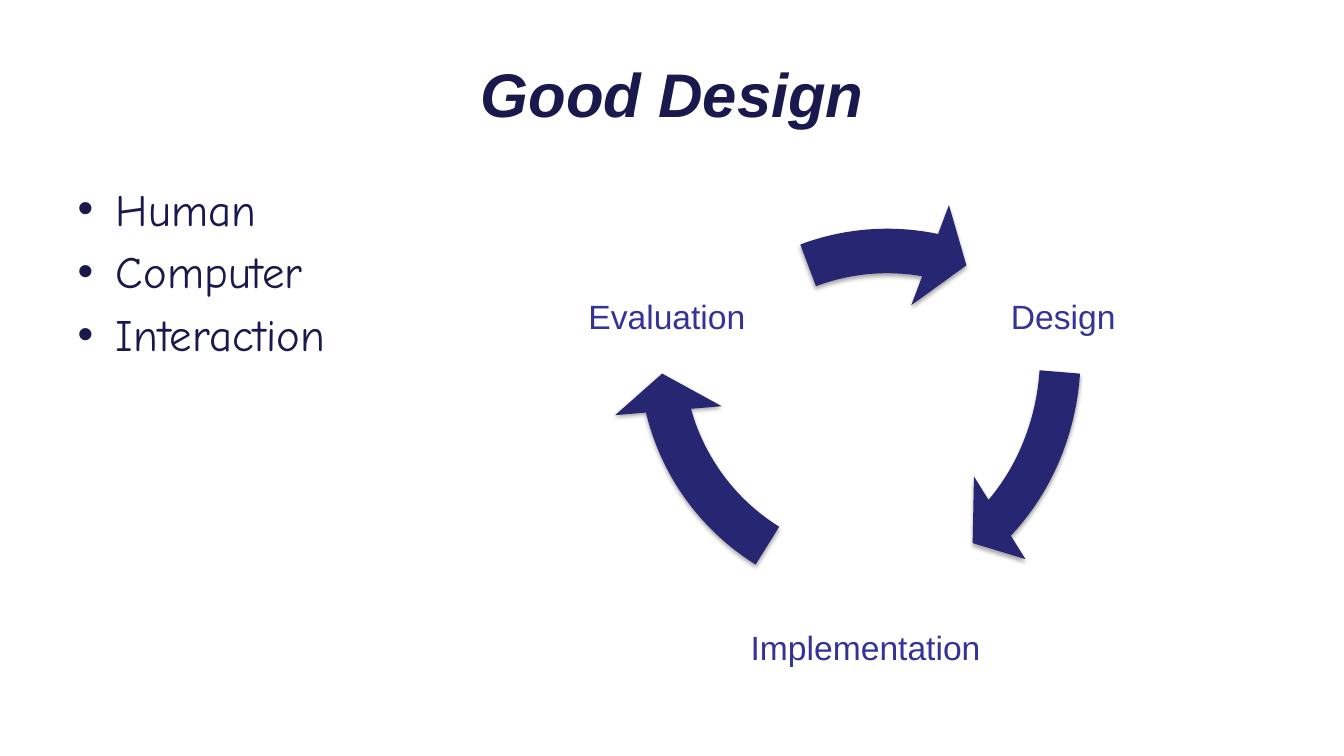
from dataclasses import dataclass

from lxml import etree
from pptx import Presentation
from pptx import util as u
from pptx.dml.color import RGBColor
from pptx.enum import shapes, text
from pptx.oxml import ns

PX = 9144  # EMU per px, 100 px to the inch


@dataclass(frozen=True)
class Theme:
    ink: str = "19194D"
    label: str = "333399"
    arrow: str = "262673"
    shadow: str = "000000"
    sans: str = "Arial"
    hand: str = "Comic Neue"
    title_size: int = 44
    list_size: int = 32
    label_size: int = 24


@dataclass(frozen=True)
class Box:
    left: int
    top: int
    width: int
    height: int

    def emu(self) -> list[u.Emu]:
        sides = (self.left, self.top, self.width, self.height)
        return [u.Emu(side * PX) for side in sides]


@dataclass(frozen=True)
class Step:
    """A stage of the cycle and the arrow drawn with it, angles in degrees."""
    name: str
    label_box: Box
    arrow_box: Box
    start: float
    end: float


THEME = Theme()
TITLE_BOX = Box(67, 30, 1200, 125)
LIST_BOX = Box(67, 175, 1200, 495)
INDENT = 38
LABEL_INSET = 3
BAND = 0.08      # arrow thickness, share of the box
HEAD = 0.096     # half width of the arrowhead, share of the box
HEAD_ANGLE = 9.6
TOPICS = ("Human", "Computer", "Interaction")
STEPS = (
    Step("Design", Box(938, 200, 233, 233), Box(597, 76, 503, 552), 4.8, 48.5),
    Step("Implementation", Box(738, 575, 241, 139), Box(603, 76, 552, 552), 121.9, 165.6),
    Step("Evaluation", Box(545, 200, 233, 233), Box(604, 196, 552, 552), 249.4, 281),
)


def add_span(para, words: str, font: str, size: int, color: str):
    span = para.add_run()
    span.text = words
    span.font.name = font
    span.font.size = u.Pt(size)
    span.font.color.rgb = RGBColor.from_string(color)
    return span


def place(shape, box: Box) -> None:
    shape.left, shape.top, shape.width, shape.height = box.emu()


def add_child(parent, tag: str, **attributes):
    return etree.SubElement(parent, ns.qn(tag), attributes)


def fill_title(title) -> None:
    place(title, TITLE_BOX)
    frame = title.text_frame
    frame.vertical_anchor = text.MSO_ANCHOR.MIDDLE
    para = frame.paragraphs[0]
    para.alignment = text.PP_ALIGN.CENTER
    span = add_span(para, "Good Design", THEME.sans, THEME.title_size, THEME.ink)
    span.font.bold = span.font.italic = True


def fill_list(body) -> None:
    place(body, LIST_BOX)
    frame = body.text_frame
    frame.auto_size = text.MSO_AUTO_SIZE.NONE
    for index, topic in enumerate(TOPICS):
        para = frame.add_paragraph() if index else frame.paragraphs[0]
        add_span(para, topic, THEME.hand, THEME.list_size, THEME.ink)
        props = para._p.get_or_add_pPr()
        props.set("marL", str(INDENT * PX))
        props.set("indent", str(-INDENT * PX))
        add_child(add_child(props, "a:spcBef"), "a:spcPct", val="20000")
        add_child(props, "a:buFont", typeface=THEME.sans)
        add_child(props, "a:buChar", char="•")


def add_label(slide, step: Step) -> None:
    frame = slide.shapes.add_textbox(*step.label_box.emu()).text_frame
    frame.word_wrap = True
    frame.vertical_anchor = text.MSO_ANCHOR.MIDDLE
    inset = u.Emu(LABEL_INSET * PX)
    frame.margin_left = frame.margin_right = inset
    frame.margin_top = frame.margin_bottom = inset
    para = frame.paragraphs[0]
    para.alignment = text.PP_ALIGN.CENTER
    para.line_spacing = 0.9
    add_span(para, step.name, THEME.sans, THEME.label_size, THEME.label)


def add_soft_shadow(shape) -> None:
    shape.shadow.inherit = False
    effects = shape._element.spPr.find(ns.qn("a:effectLst"))
    shadow = add_child(effects, "a:outerShdw", blurRad="40000", dist="23000",
                       dir="5400000", rotWithShape="0")
    color = add_child(shadow, "a:srgbClr", val=THEME.shadow)
    add_child(color, "a:alpha", val="35000")


def add_arrow(slide, step: Step) -> None:
    arrow = slide.shapes.add_shape(shapes.MSO_SHAPE.CIRCULAR_ARROW,
                                   *step.arrow_box.emu())
    angles = [degrees * 0.6 for degrees in (HEAD_ANGLE, step.end, step.start)]
    for index, value in enumerate((BAND, *angles, HEAD)):
        arrow.adjustments[index] = value
    arrow.fill.solid()
    arrow.fill.fore_color.rgb = RGBColor.from_string(THEME.arrow)
    arrow.line.fill.background()
    add_soft_shadow(arrow)


def main() -> None:
    deck = Presentation()
    deck.slide_width, deck.slide_height = u.Emu(1333 * PX), u.Emu(750 * PX)
    slide = deck.slides.add_slide(deck.slide_layouts.get_by_name("Title and Content"))
    fill_title(slide.shapes.title)
    fill_list(slide.placeholders[1])
    for step in STEPS:
        add_label(slide, step)
        add_arrow(slide, step)
    deck.save("out.pptx")


if __name__ == "__main__":
    main()
